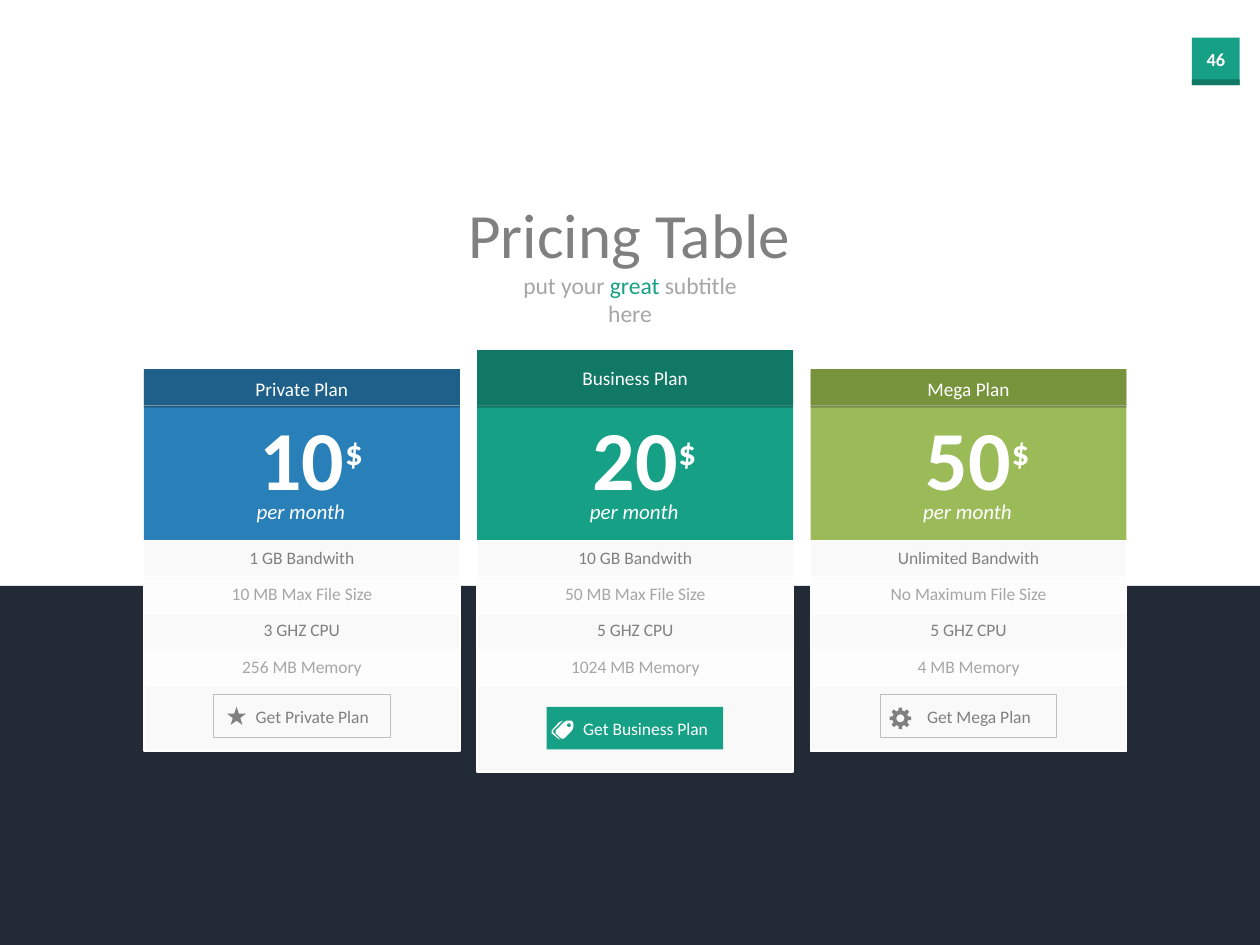
from math import cos, radians, sin

from lxml.etree import SubElement
from pptx import Presentation
from pptx.dml.color import RGBColor
from pptx.enum.shapes import MSO_SHAPE as Preset
from pptx.enum.text import MSO_ANCHOR as Anchor, MSO_AUTO_SIZE as AutoSize, PP_ALIGN as Align
from pptx.oxml.ns import qn
from pptx.util import Cm, Pt

WHITE, GREY, PALE_GREY = "FFFFFF", "808080", "A6A6A6"
TEAL, DARK_TEAL, NAVY = "16A085", "107864", "222A35"
ROW_FILLS, ROW_INKS = ("F9F9F9", "FDFDFD"), (GREY, PALE_GREY)

# Card grid, in centimetres
LEFT, PITCH, WIDTH = 2.9, 6.72, 6.37
ROW_TOP, ROW_HEIGHT = 10.9, 0.73


def color(value):
    return RGBColor.from_string(value)


def ring(x, y, radii_angles):
    """Points around a centre; zero degrees points up."""
    return [(x + r * sin(radians(a)), y - r * cos(radians(a))) for r, a in radii_angles]


def hole(x, y, radius):
    return ring(x, y, [(radius, -a) for a in range(0, 360, 20)])


# Icons: outlines measured from the button's corner
STAR = [ring(0.47, 0.45, [(0.08 if i % 2 else 0.2, 36 * i) for i in range(10)])]
GEAR = [
    ring(0.41, 0.48, [(r, 45 * tooth + a) for tooth in range(8)
                      for r, a in ((0.16, -14), (0.22, -9), (0.22, 9), (0.16, 14))]),
    hole(0.41, 0.48, 0.08),
]
TAGS = [
    [(0.51, 0.28), (0.4, 0.28), (0.35, 0.31), (0.18, 0.48), (0.18, 0.53),
     (0.3, 0.64), (0.35, 0.64), (0.51, 0.48), (0.54, 0.41), (0.54, 0.33)],
    hole(0.45, 0.37, 0.04),
    [(0.13, 0.51), (0.28, 0.66), (0.23, 0.64), (0.1, 0.53), (0.1, 0.48),
     (0.25, 0.31), (0.33, 0.28), (0.13, 0.48)],
]


class Deck:
    font_name = "Calibri"

    def __init__(self):
        self.file = Presentation()
        self.file.slide_width, self.file.slide_height = Cm(25.4), Cm(19.05)
        self.page = self.file.slides.add_slide(self.file.slide_layouts[0])

    def paint(self, shape, fill, line=None, weight=0.5):
        shape.shadow.inherit = False
        if fill:
            shape.fill.solid()
            shape.fill.fore_color.rgb = color(fill)
        else:
            shape.fill.background()
        if line:
            shape.line.color.rgb = color(line)
            shape.line.width = Pt(weight)
        else:
            shape.line.fill.background()
        return shape

    def rect(self, x, y, width, height, fill, line=None, weight=0.5, opacity=None):
        shape = self.page.shapes.add_shape(Preset.RECTANGLE, Cm(x), Cm(y), Cm(width), Cm(height))
        self.paint(shape, fill, line, weight)
        if opacity:
            tint = shape.fill._xPr.find(qn("a:solidFill"))[0]
            SubElement(tint, qn("a:alpha"), val=str(opacity * 1000))

    def icon(self, x, y, outlines, fill):
        builder = None
        for outline in outlines:
            start, *rest = [(Cm(x + dx), Cm(y + dy)) for dx, dy in outline]
            if builder is None:
                builder = self.page.shapes.build_freeform(*start)
            else:
                builder.move_to(*start)
            builder.add_line_segments(rest, close=True)
        self.paint(builder.convert_to_shape(), fill)

    def set_text(self, box, spans, wrap=False, **style):
        """Fill a box with one centred paragraph of (text, ink) spans."""
        frame = box.text_frame
        settings = {"word_wrap": wrap, "auto_size": AutoSize.SHAPE_TO_FIT_TEXT,
                    "vertical_anchor": Anchor.TOP}
        for name, value in settings.items():
            setattr(frame, name, value)
        para = frame.paragraphs[0]
        para.alignment, para.space_before = Align.CENTER, Pt(0)
        for text, ink in spans:
            span = para.add_run()
            span.text = text
            span.font.color.rgb = color(ink)
            for name, value in {"name": self.font_name, **style}.items():
                setattr(span.font, name, value)

    def label(self, center, y, width, height, text, ink, size, **style):
        box = self.page.shapes.add_textbox(Cm(center - width / 2), Cm(y), Cm(width), Cm(height))
        self.set_text(box, [(text, ink)], size=Pt(size), **style)

    def heading(self, box, place, spans, size, wrap=False):
        for name, value in zip(("left", "top", "width", "height"), place):
            setattr(box, name, Cm(value))
        self.set_text(box, spans, wrap, size=Pt(size))

    def card(self, column, plan):
        x = LEFT + PITCH * column
        center = x + WIDTH / 2
        featured = plan["featured"]

        # Card body and price band
        self.rect(x, 7.49, WIDTH, 8.08 if featured else 7.65, ROW_FILLS[0], WHITE, 1)
        self.rect(x, 8.18, WIDTH, 2.72, plan["fill"])
        for i in range(len(plan["rows"])):
            self.rect(x, ROW_TOP + i * ROW_HEIGHT, WIDTH, ROW_HEIGHT, ROW_FILLS[i % 2], WHITE)

        # Header with its shade
        self.rect(x, 7.49, WIDTH, 0.73, "000000", opacity=25)
        top, height, text_top = (7.06, 1.12, 7.26) if featured else (7.44, 0.73, 7.49)
        self.rect(x, top, WIDTH, height, plan["dark"])
        name, width = plan["name"]
        self.label(center, text_top, width, 0.74, name, WHITE, 11)

        # Price
        self.label(center, 8.08, 2.26, 2.31, plan["price"], WHITE, 48, bold=True)
        self.label(center + 1.05, 8.56, 0.86, 1.12, "$", WHITE, 20, bold=True)
        self.label(center - 0.02, 9.93, 2.31, 0.76, "per month", WHITE, 12, italic=True)

        # Features
        for i, (text, width) in enumerate(plan["rows"]):
            self.label(center, ROW_TOP + i * ROW_HEIGHT, width, 0.68, text, ROW_INKS[i % 2], 10)

        # Button
        button_x, button_y = x + 1.4, 14.25 if featured else 14
        fill, line, ink = (plan["fill"], None, WHITE) if featured else (None, "BFBFBF", GREY)
        self.rect(button_x, button_y, 3.56, 0.86, fill, line, 0.25)
        self.icon(button_x, button_y, plan["icon"], ink)
        text, width = plan["button"]
        self.label(center + 0.21, button_y + 0.1, width, 0.68, text, ink, 10)


# Texts are paired with their box widths
PLANS = [
    {"name": ("Private Plan", 2.41), "price": "10", "fill": "2980B9", "dark": "1F608B",
     "featured": False, "icon": STAR, "button": ("Get Private Plan", 2.82),
     "rows": [("1 GB Bandwith", 2.67), ("10 MB Max File Size", 3.4),
              ("3 GHZ CPU", 2.06), ("256 MB Memory", 2.95)]},
    {"name": ("Business Plan", 2.64), "price": "20", "fill": TEAL, "dark": DARK_TEAL,
     "featured": True, "icon": TAGS, "button": ("Get Business Plan", 3.05),
     "rows": [("10 GB Bandwith", 2.84), ("50 MB Max File Size", 3.4),
              ("5 GHZ CPU", 2.06), ("1024 MB Memory", 3.15)]},
    {"name": ("Mega Plan", 2.18), "price": "50", "fill": "9BBB59", "dark": "77933C",
     "featured": False, "icon": GEAR, "button": ("Get Mega Plan", 2.64),
     "rows": [("Unlimited Bandwith", 3.4), ("No Maximum File Size", 3.71),
              ("5 GHZ CPU", 2.06), ("4 MB Memory", 2.59)]},
]


def main():
    deck = Deck()
    title, subtitle = deck.page.placeholders

    # Page number
    deck.rect(24.03, 0.76, 0.96, 0.96, TEAL)
    deck.rect(24.03, 1.6, 0.96, 0.12, DARK_TEAL)
    deck.label(24.51, 0.84, 0.96, 0.71, "46", WHITE, 10.5, bold=True)

    # Title and subtitle
    deck.heading(title, (9.04, 3.81, 7.29, 1.8), [("Pricing Table", GREY)], 36)
    deck.heading(subtitle, (9.9, 5.33, 5.6, 1.4),
                 [("put your ", PALE_GREY), ("great", TEAL), (" subtitle here", PALE_GREY)],
                 13.5, wrap=True)

    # Dark floor and plan cards
    deck.rect(0, 11.81, 25.4, 7.24, NAVY)
    for column, plan in enumerate(PLANS):
        deck.card(column, plan)

    deck.file.save("out.pptx")


if __name__ == "__main__":
    main()
